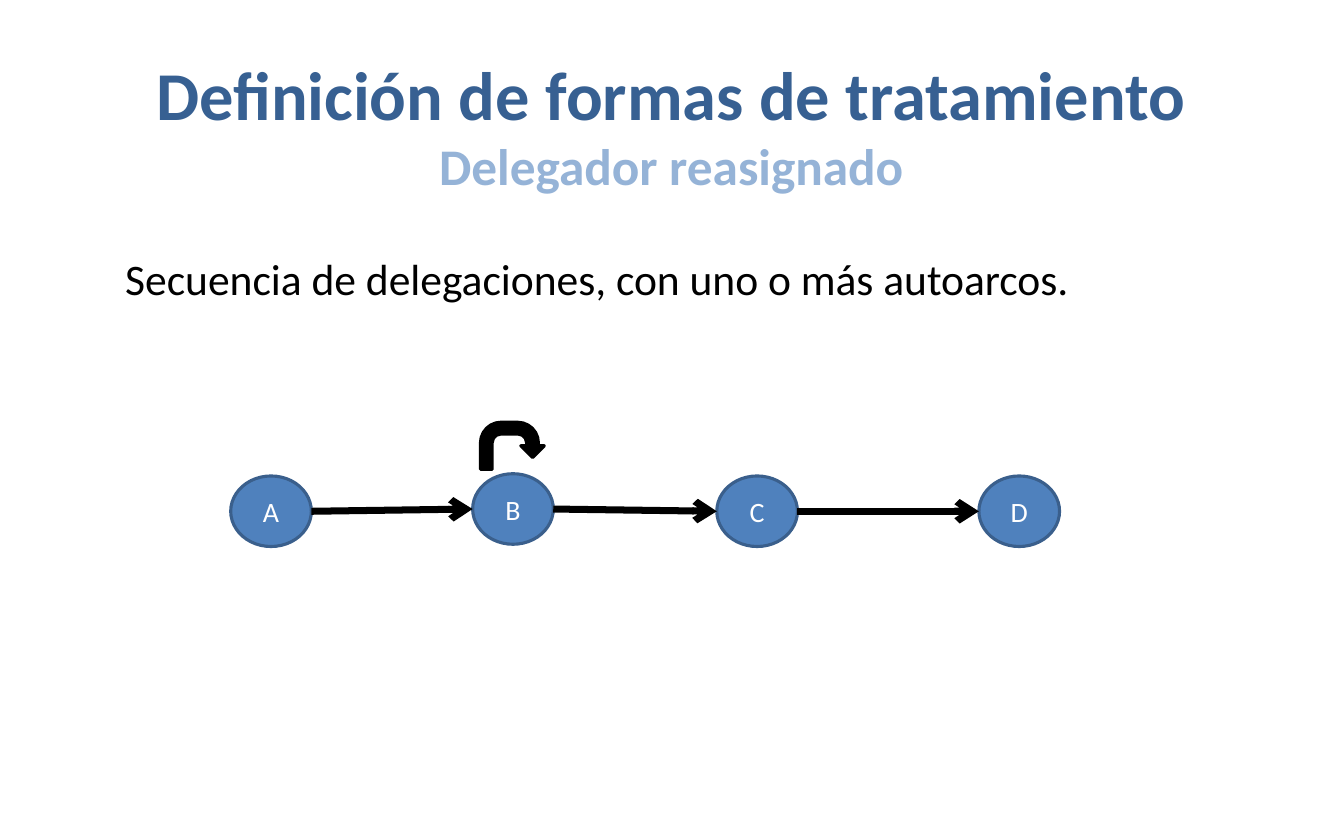
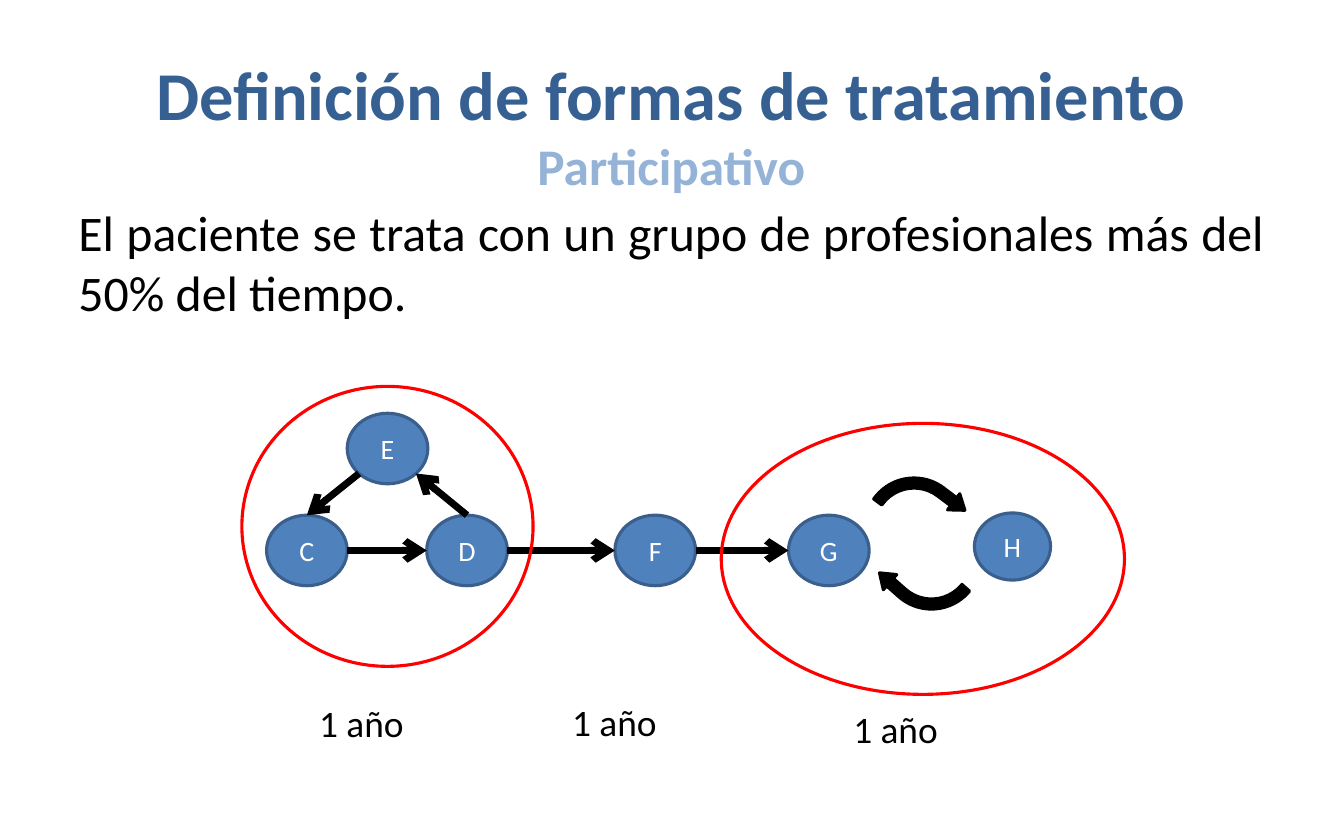
import math

import pptx
import pptx.dml.color
import pptx.enum.shapes
import pptx.enum.text
import pptx.oxml
import pptx.oxml.ns
import pptx.util
from pptx.util import Inches

SHAPE = pptx.enum.shapes.MSO_SHAPE
ALIGN = pptx.enum.text.PP_ALIGN
ANCHOR = pptx.enum.text.MSO_ANCHOR
FIT = pptx.enum.text.MSO_AUTO_SIZE
TITLE = "Definición de formas de tratamiento"
TITLE_ONLY, TITLE_BODY = 5, 1
LEFT, RIGHT, TOP, LOWER_LEFT, LOWER_RIGHT = 180, 0, 270, 135, 45


def rgb(value):
    """Turn a hex string into a colour."""
    return pptx.dml.color.RGBColor.from_string(value)


def add_xml(parent, tag, **attrs):
    """Append a DrawingML element to parent."""
    child = pptx.oxml.parse_xml(
        f'<a:{tag} {pptx.oxml.ns.nsdecls("a")}/>')
    for name, value in attrs.items():
        child.set(name, value)
    parent.append(child)


def write(p, text, size=18, color="000000", bold=False, align=ALIGN.LEFT):
    """Add a formatted run to a paragraph."""
    p.alignment = align
    r = p.add_run()
    r.text = text
    r.font.name = "Calibri"
    r.font.size = pptx.util.Pt(size)
    r.font.bold = bold
    r.font.color.rgb = rgb(color)


def place(sp, box):
    """Move and size a shape from a box in inches."""
    sp.left, sp.top, sp.width, sp.height = map(Inches, box)


def rim(sp, angle):
    """Return the point of an ellipse at an angle, clockwise from the right."""
    a = math.radians(angle)
    return (int(sp.left + sp.width / 2 * (1 + math.cos(a))),
            int(sp.top + sp.height / 2 * (1 + math.sin(a))))


class Deck:
    """Holds the style and the current slide."""
    heading, subheading = "376092", "95B3D7"
    node_fill, node_line = "4F81BD", "3A5F8C"
    ink, white, red = "000000", "FFFFFF", "FF0000"
    node_size = (0.72, 0.63)

    def __init__(self):
        """Start a presentation of 12 by 7.5 inches."""
        self.prs = pptx.Presentation()
        self.prs.slide_width = Inches(12)
        self.prs.slide_height = Inches(7.5)

    def slide(self, layout, subtitle):
        """Add a slide with the two-line title."""
        self.s = self.prs.slides.add_slide(self.prs.slide_layouts[layout])
        sp = self.s.shapes.title
        place(sp, (0.82, 0.38, 10.35, 1.45))
        tf = sp.text_frame
        tf.auto_size = FIT.NONE
        tf.vertical_anchor = ANCHOR.MIDDLE
        p = tf.paragraphs[0]
        write(p, TITLE, size=44, color=self.heading, bold=True)
        p.add_line_break()
        write(p, subtitle, size=33, color=self.subheading, bold=True,
              align=ALIGN.CENTER)

    def body(self, text, box):
        """Fill the body placeholder with one unbulleted paragraph."""
        sp = self.s.placeholders[1]
        place(sp, box)
        sp.text_frame.auto_size = FIT.NONE
        p = sp.text_frame.paragraphs[0]
        write(p, text, size=32, align=ALIGN.JUSTIFY)
        props = p._p.get_or_add_pPr()
        props.set("marL", "0")
        props.set("indent", "0")
        add_xml(props, "buNone")

    def text(self, text, box, grow=False, **style):
        """Add a wrapped text box."""
        tf = self.s.shapes.add_textbox(*map(Inches, box)).text_frame
        tf.word_wrap = True
        tf.auto_size = FIT.SHAPE_TO_FIT_TEXT if grow else FIT.NONE
        write(tf.paragraphs[0], text, **style)

    def shape(self, kind, box, line, fill=None):
        """Add a preset shape, hollow unless a fill is given."""
        sp = self.s.shapes.add_shape(kind, *map(Inches, box))
        sp.shadow.inherit = False
        if fill:
            sp.fill.solid()
            sp.fill.fore_color.rgb = rgb(fill)
        else:
            sp.fill.background()
        sp.line.color.rgb = rgb(line)
        sp.line.width = pptx.util.Pt(2)
        return sp

    def node(self, letter, left, top, size=node_size):
        """Add a lettered node."""
        sp = self.shape(SHAPE.OVAL, (left, top, *size), self.node_line,
                        self.node_fill)
        tf = sp.text_frame
        tf.vertical_anchor = ANCHOR.MIDDLE
        write(tf.paragraphs[0], letter, color=self.white, align=ALIGN.CENTER)
        return sp

    def arrow(self, start, end, leave=RIGHT, arrive=LEFT):
        """Draw an arrow between the rims of two nodes."""
        line = self.s.shapes.add_connector(
            pptx.enum.shapes.MSO_CONNECTOR.STRAIGHT,
            *rim(start, leave), *rim(end, arrive))
        line.line.color.rgb = rgb(self.ink)
        line.line.width = pptx.util.Pt(4.5)
        add_xml(line.line._get_or_add_ln(), "tailEnd", type="arrow")
        add_xml(line._element.spPr, "effectLst")

    def block_arrow(self, kind, box, rotation=0, adjust=()):
        """Add a black block arrow."""
        sp = self.shape(kind, box, self.ink, self.ink)
        sp.rotation = rotation
        for i, value in enumerate(adjust):
            sp.adjustments[i] = value


def reassigned(deck):
    """Build the chain of delegations with a self-arc."""
    deck.slide(TITLE_ONLY, "Delegador reasignado")
    deck.text("Secuencia de delegaciones, con uno o más autoarcos.",
              (1.02, 2.2, 9.97, 1.3), size=28, align=ALIGN.JUSTIFY)
    chain = [deck.node(*n) for n in (("A", 2.06, 4.25), ("B", 4.22, 4.23),
                                     ("C", 6.4, 4.25), ("D", 8.74, 4.25))]
    for start, end in zip(chain, chain[1:]):
        deck.arrow(start, end)
    deck.block_arrow(SHAPE.U_TURN_ARROW, (4.29, 3.77, 0.57, 0.42))


def participative(deck):
    """Build the two treatment groups and their periods."""
    deck.slide(TITLE_BODY, "Participativo")
    deck.body("El paciente se trata con un grupo de profesionales más del "
              "50% del tiempo.", (0.6, 1.75, 10.8, 4.95))
    c, d, f, g = chain = [deck.node(letter, left, 4.6) for letter, left in
                          zip("CDFG", (2.38, 3.81, 5.49, 7.04))]
    e = deck.node("E", 3.1, 3.69)
    deck.node("H", 8.7, 4.58, (0.68, 0.6))
    for start, end in zip(chain, chain[1:]):
        deck.arrow(start, end)
    deck.arrow(e, c, LOWER_LEFT, TOP)
    deck.arrow(d, e, TOP, LOWER_RIGHT)
    for left, top, rotation in ((7.88, 4.22, 37.1), (7.87, 4.98, 221.5)):
        deck.block_arrow(SHAPE.BENT_ARROW, (left, top, 0.71, 0.5), rotation,
                         (0.18, 0.18, 0.25, 0.88))
    for ring in ((2.16, 3.45, 2.6, 2.5), (6.44, 3.78, 3.6, 2.42)):
        deck.shape(SHAPE.OVAL, ring, deck.red)
    for left, top in ((2.75, 6.2), (5.01, 6.19), (7.52, 6.26)):
        deck.text("1 año", (left, top, 1.18, 0.5), grow=True, size=24)


deck = Deck()
reassigned(deck)
participative(deck)
deck.prs.save("out.pptx")
